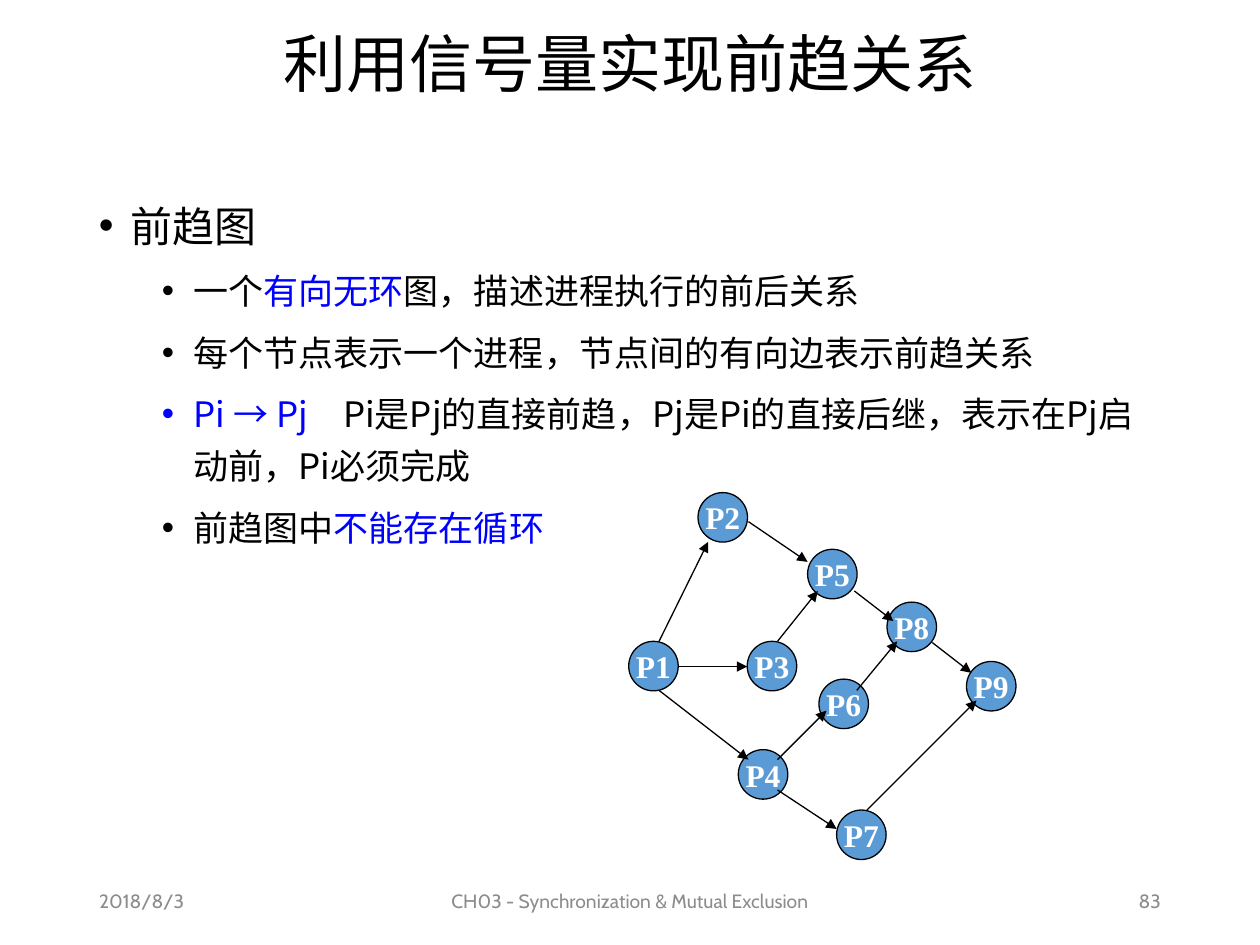
from lxml.etree import SubElement
from pptx import Presentation
from pptx.dml.color import RGBColor
from pptx.enum.shapes import MSO_CONNECTOR, MSO_SHAPE
from pptx.enum.text import MSO_ANCHOR, PP_ALIGN
from pptx.oxml.ns import qn
from pptx.util import Pt

COLORS = {"text": "000000", "accent": "0000FF", "footer": "8C8C8C",
          "node": "5B9BD5", "label": "FFFFFF", "line": "000000"}
CJK, FOOTER_FONT, NODE_FONT = "Noto Sans CJK SC", "Cabin", "Times New Roman"

BULLETS = [
    (0, [("前趋图", "text")]),
    (1, [("一个", "text"), ("有向无环", "accent"),
         ("图，描述进程执行的前后关系", "text")]),
    (1, [("每个节点表示一个进程，节点间的有向边表示前趋关系", "text")]),
    (1, [("Pi → Pj　", "accent"),
         ("Pi是Pj的直接前趋，Pj是Pi的直接后继，表示在Pj启动前，Pi必须完成", "text")]),
    (1, [("前趋图中", "text"), ("不能存在循环", "accent")]),
]
LEVELS = [{"size": 24, "margin": 18, "before": 10},
          {"size": 20, "margin": 54, "before": 5}]
HANGING = 18

NODE_SIZE = 28.3
NODES = {"P1": (0, 85), "P2": (39.6, 0), "P3": (67.7, 85),
         "P4": (62.6, 146.9), "P5": (102.2, 32.4), "P6": (108.7, 106.6),
         "P7": (118.8, 181.4), "P8": (147.6, 62.6), "P9": (193, 96.5)}
EDGES = {
    ("P1", "P2"): (17.3, 85, 45.4, 28.1),
    ("P1", "P3"): (28.1, 99.4, 67.7, 99.4),
    ("P1", "P4"): (17.3, 113, 68.4, 152.6),
    ("P2", "P5"): (68.4, 16.6, 102.2, 39.6),
    ("P3", "P5"): (85, 85, 108, 56.2),
    ("P4", "P6"): (85, 152.6, 113, 124.6),
    ("P4", "P7"): (85, 169.9, 118.8, 192.2),
    ("P5", "P8"): (128.9, 56.2, 151.2, 73.4),
    ("P6", "P8"): (130.3, 113, 153.4, 85),
    ("P7", "P9"): (136.1, 181.4, 198.7, 118.8),
    ("P8", "P9"): (173.5, 85.7, 195.8, 103),
}


def rgb(name):
    return RGBColor.from_string(COLORS[name])


def style_font(font, name, size, color, bold=False):
    font.size = Pt(size)
    font.bold = bold
    font.color.rgb = rgb(color)
    font.name = name
    SubElement(font._rPr, qn("a:ea"), typeface=name)


def add_textbox(page, box):
    shape = page.shapes.add_textbox(*map(Pt, box))
    shape.text_frame.word_wrap = True
    return shape.text_frame


def add_title(page, box, text):
    title = page.shapes.title
    title.left, title.top, title.width, title.height = map(Pt, box)
    frame = title.text_frame
    frame.text = text
    frame.vertical_anchor = MSO_ANCHOR.MIDDLE
    para = frame.paragraphs[0]
    para.alignment = PP_ALIGN.CENTER
    para.line_spacing = 0.9
    style_font(para.font, CJK, 36, "text")


def add_bullets(page, box):
    frame = add_textbox(page, box)
    for index, (level, spans) in enumerate(BULLETS):
        para = frame.add_paragraph() if index else frame.paragraphs[0]
        look = LEVELS[level]
        para.level = level
        para.line_spacing = 1.25
        para.space_before = Pt(look["before"])
        props = para._p.get_or_add_pPr()
        props.set("marL", str(Pt(look["margin"])))
        props.set("indent", str(-Pt(HANGING)))
        SubElement(props, qn("a:buFont"), typeface="Arial")
        SubElement(props, qn("a:buChar"), char="•")
        for text, color in spans:
            span = para.add_run()
            span.text = text
            style_font(span.font, CJK, look["size"], color)


def add_node(group, box, label):
    node = group.shapes.add_shape(MSO_SHAPE.OVAL, *map(Pt, box))
    node.shadow.inherit = False
    node.fill.solid()
    node.fill.fore_color.rgb = rgb("node")
    node.line.color.rgb = rgb("line")
    node.line.width = Pt(0.75)
    frame = node.text_frame
    frame.word_wrap = False
    frame.vertical_anchor = MSO_ANCHOR.MIDDLE
    frame.text = label
    para = frame.paragraphs[0]
    para.alignment = PP_ALIGN.CENTER
    style_font(para.font, NODE_FONT, 18, "label", bold=True)


def add_arrow(group, ends):
    arrow = group.shapes.add_connector(MSO_CONNECTOR.STRAIGHT, *map(Pt, ends))
    arrow.line.color.rgb = rgb("line")
    arrow.line.width = Pt(0.75)
    SubElement(arrow.line._get_or_add_ln(), qn("a:tailEnd"), type="triangle")
    SubElement(arrow._element.spPr, qn("a:effectLst"))


def add_precedence_graph(page, left, top):
    group = page.shapes.add_group_shape()
    for label, (x, y) in NODES.items():
        add_node(group, (left + x, top + y, NODE_SIZE, NODE_SIZE), label)
    for x1, y1, x2, y2 in EDGES.values():
        add_arrow(group, (left + x1, top + y1, left + x2, top + y2))


def add_footer(page, box):
    left, top, width, height = box
    side, middle = 162, 243
    parts = [
        ("2018/8/3", left, side, PP_ALIGN.LEFT),
        ("CH03 - Synchronization & Mutual Exclusion",
         left + (width - middle) / 2, middle, PP_ALIGN.CENTER),
        ("83", left + width - side, side, PP_ALIGN.RIGHT),
    ]
    for text, x, part_width, alignment in parts:
        frame = add_textbox(page, (x, top, part_width, height))
        frame.vertical_anchor = MSO_ANCHOR.MIDDLE
        frame.text = text
        para = frame.paragraphs[0]
        para.alignment = alignment
        style_font(para.font, FOOTER_FONT, 11, "footer")


def main():
    deck = Presentation()
    deck.slide_width, deck.slide_height = Pt(720), Pt(540)
    page = deck.slides.add_slide(deck.slide_layouts[5])
    add_title(page, (49.5, 10.8, 621, 54.7), "利用信号量实现前趋关系")
    add_bullets(page, (49.5, 103.7, 621, 387.4))
    add_footer(page, (49.5, 500.5, 621, 28.75))
    add_precedence_graph(page, 359.3, 281.5)
    deck.save("out.pptx")


if __name__ == "__main__":
    main()
